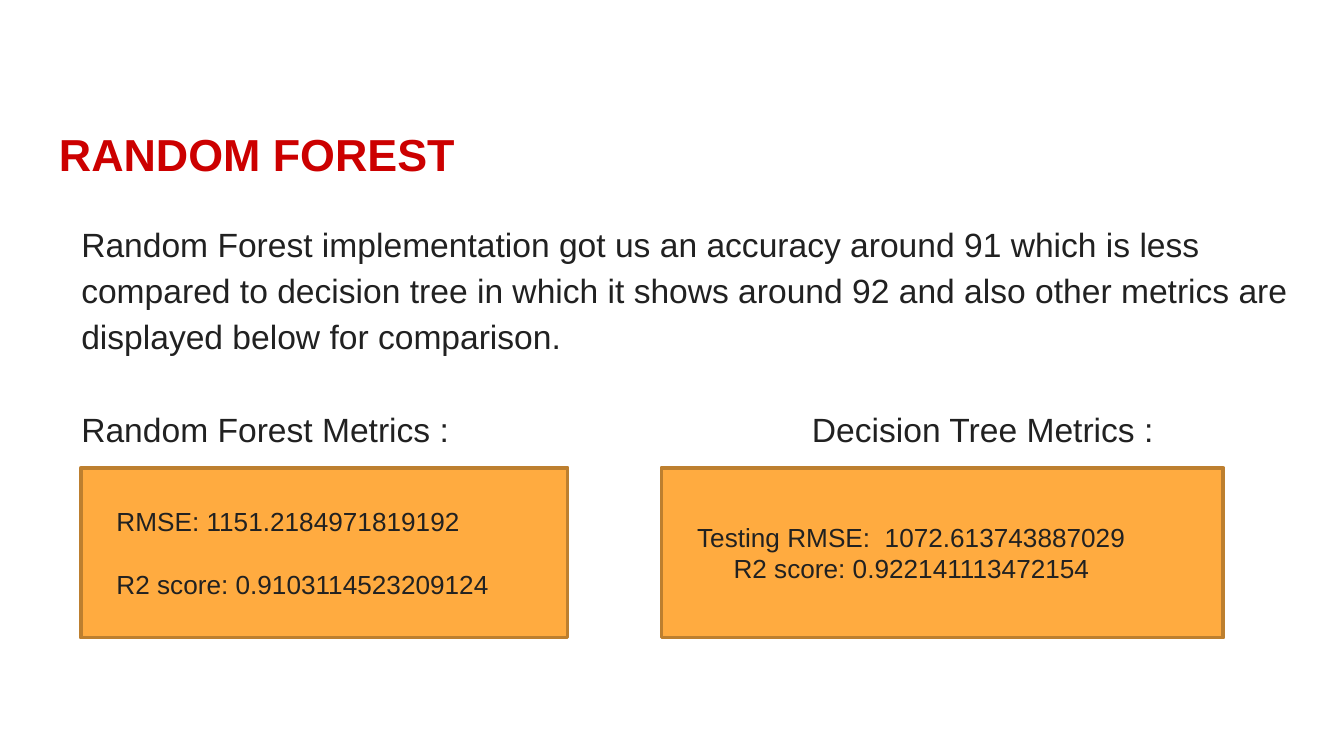
from pptx import Presentation
from pptx.dml.color import RGBColor
from pptx.enum.shapes import MSO_SHAPE as Shape
from pptx.enum.text import MSO_ANCHOR as Anchor, PP_ALIGN as Align
from pptx.util import Pt

COLORS = {"title": "CC0000", "text": "212121", "panel": "FFAB40", "border": "BD7F2F"}
FONT = "Arial"
INDENT = 12
INSET = 7.2


def color(name):
    """Return the named colour."""
    return RGBColor.from_string(COLORS[name])


def write(frame, lines, size, ink="text", bold=False, indents=(0,), spacing=1, gap=0):
    """Fill a text frame with evenly styled lines."""
    frame.word_wrap = True
    frame.text = "\n".join(lines)
    for index, line in enumerate(frame.paragraphs):
        line.alignment = Align.LEFT
        line.line_spacing = spacing
        line.space_before = Pt(gap if index else 0)
        indent = indents[index % len(indents)]
        line._p.get_or_add_pPr().set("marL", str(Pt(indent)))
        for run in line.runs:
            run.font.name = FONT
            run.font.size = Pt(size)
            run.font.bold = bold
            run.font.color.rgb = color(ink)


def add_text(slide, box, text, size, anchor=Anchor.TOP, **style):
    """Place one passage of text in a box."""
    frame = slide.shapes.add_textbox(*map(Pt, box)).text_frame
    frame.margin_left = frame.margin_right = Pt(INSET)
    frame.margin_top = frame.margin_bottom = Pt(INSET)
    frame.vertical_anchor = anchor
    write(frame, [text], size, **style)


def add_metrics(slide, box, heading, heading_shift, scores, **style):
    """Place a heading above a panel of scores."""
    left, top, width, height = box
    heading_box = (left + heading_shift, top - 42, 240, 40)
    add_text(slide, heading_box, heading, 18, indents=(INDENT,), spacing=1.15)
    panel = slide.shapes.add_shape(Shape.RECTANGLE, *map(Pt, box))
    panel.shadow.inherit = False
    panel.fill.solid()
    panel.fill.fore_color.rgb = color("panel")
    panel.line.color.rgb = color("border")
    panel.line.width = Pt(2)
    panel.text_frame.vertical_anchor = Anchor.MIDDLE
    write(panel.text_frame, scores, 14, **style)


def build():
    """Build and save the slide."""
    deck = Presentation()
    deck.slide_width, deck.slide_height = Pt(720), Pt(405)
    slide = deck.slides.add_slide(deck.slide_layouts[6])

    add_text(slide, (24.5, 44, 670, 59.8), "RANDOM FOREST", 24,
             anchor=Anchor.BOTTOM, ink="title", bold=True)
    add_text(slide, (24.5, 109.4, 676, 92),
             "Random Forest implementation got us an accuracy around 91 which is less "
             "compared to decision tree in which it shows around 92 and also other "
             "metrics are displayed below for comparison.",
             18, indents=(INDENT,), spacing=1.15)

    panel_top, panel_height = 250.6, 91
    add_metrics(slide, (43.3, panel_top, 260.8, panel_height),
                "Random Forest Metrics :", -18.8,
                ["RMSE: 1151.2184971819192", "R2 score: 0.9103114523209124"],
                indents=(INDENT,), gap=17)
    add_metrics(slide, (354.4, panel_top, 301, panel_height),
                "Decision Tree Metrics :", 61.5,
                ["Testing RMSE:  1072.613743887029", "R2 score: 0.922141113472154"],
                indents=(INDENT, 31.5))
    deck.save("out.pptx")


build()
